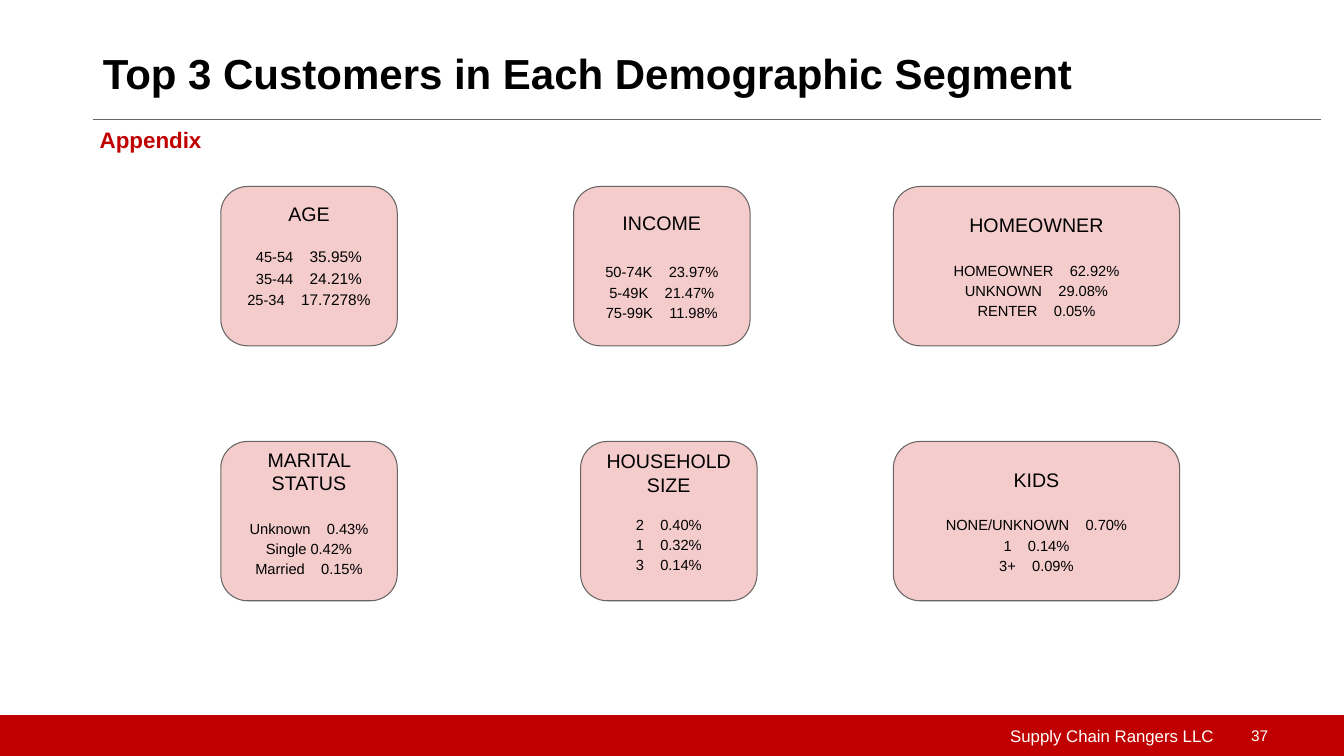
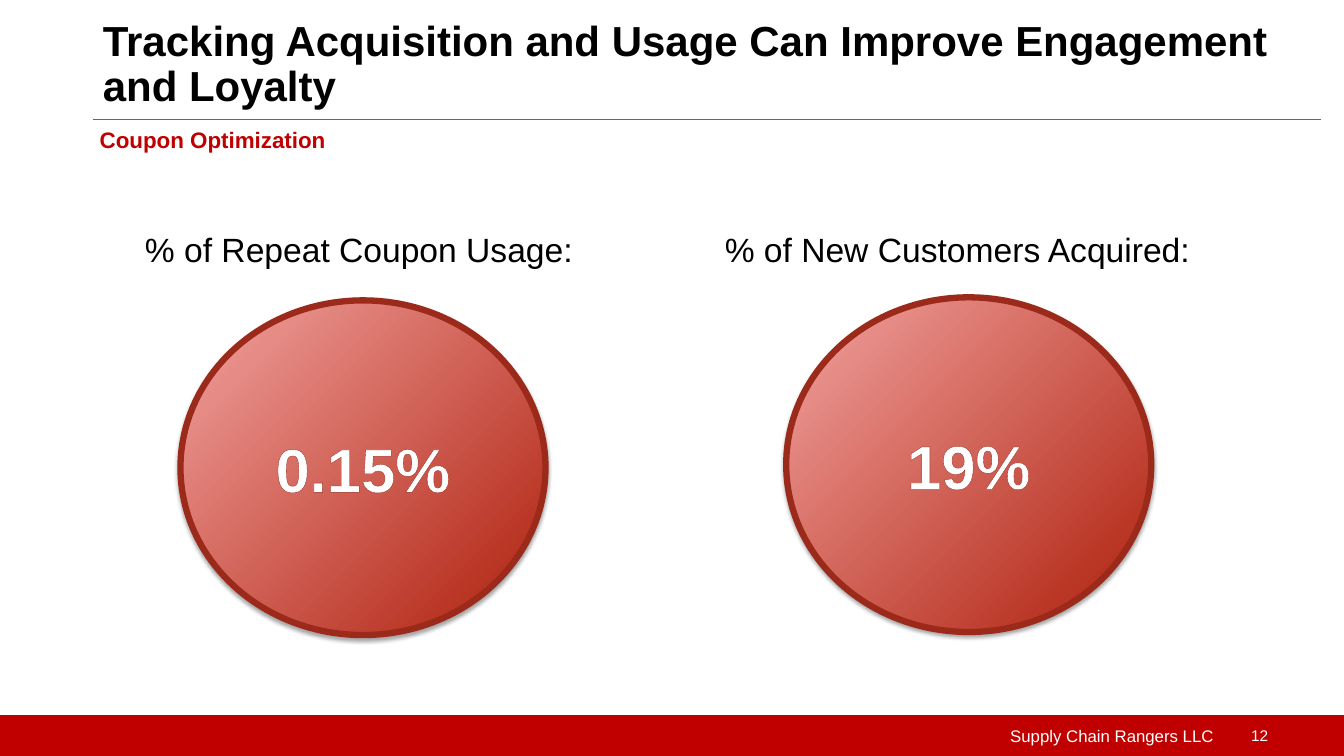
import pptx
import pptx.util
import pptx.dml.color
import pptx.enum.shapes
import pptx.enum.text
import pptx.oxml
import pptx.oxml.ns
from dataclasses import dataclass

Pt = pptx.util.Pt
Inches = pptx.util.Inches
Color = pptx.dml.color.RGBColor.from_string
Preset = pptx.enum.shapes.MSO_SHAPE
Align = pptx.enum.text.PP_ALIGN
Anchor = pptx.enum.text.MSO_ANCHOR
NAMESPACE = pptx.oxml.ns.nsdecls("a")


@dataclass(frozen=True)
class Theme:
    font: str = "Arial"
    black: str = "000000"
    white: str = "FFFFFF"
    red: str = "C00000"
    gray: str = "696464"
    pink: str = "F4CCCC"
    circle_dark: str = "AE1F0C"
    circle_light: str = "F2A3A0"
    circle_line: str = "9B2A1B"
    figure_outline: str = "9B2D1F"
    title: float = 30
    subtitle: float = 16
    footer: float = 12
    number: float = 11
    card_heading: float = 14
    card_row: float = 10.5
    label: float = 24
    figure: float = 44


theme = Theme()
presentation = pptx.Presentation()
presentation.slide_width = Inches(13.33)
presentation.slide_height = Inches(7.5)


def place(left, top, width, height):
    """Turn percentages of the slide into lengths."""
    across, down = presentation.slide_width / 100, presentation.slide_height / 100
    return [round(length) for length in (left * across, top * down, width * across, height * down)]


def write(shape, text, size, color, bold=False, align=Align.LEFT, anchor=Anchor.TOP, inset=0.1):
    """Set one formatted paragraph and return it."""
    frame = shape.text_frame
    frame.text = text
    frame.word_wrap = True
    frame.auto_size = pptx.enum.text.MSO_AUTO_SIZE.NONE
    frame.vertical_anchor = anchor
    frame.margin_left = frame.margin_right = Inches(0.1)
    frame.margin_top = frame.margin_bottom = Inches(inset)
    paragraph = frame.paragraphs[0]
    paragraph.alignment = align
    font = paragraph.runs[0].font
    font.name, font.size, font.bold = theme.font, Pt(size), bold
    font.color.rgb = Color(color)
    return paragraph


# Shared frame: band, footer, number, title, rule, subtitle
pages = [
    ("Top 3 Customers in Each Demographic Segment", "Appendix", "37", 1.33),
    ("Tracking Acquisition and Usage Can Improve Engagement and Loyalty",
     "Coupon Optimization", "12", 0),
]
slides = []
for title, subtitle, number, title_top in pages:
    slide = presentation.slides.add_slide(presentation.slide_layouts[5])
    slides.append(slide)

    band = slide.shapes.add_shape(Preset.RECTANGLE, *place(0, 94.67, 100, 5.33))
    band.shadow.inherit = False
    band.fill.solid()
    band.fill.fore_color.rgb = band.line.color.rgb = Color(theme.red)
    band.line.width = Pt(1)

    footer = slide.shapes.add_textbox(*place(58.66, 95.33, 32.4, 4.67))
    write(footer, "Supply Chain Rangers LLC", theme.footer, theme.white,
          align=Align.RIGHT, inset=0.05)
    number_box = slide.shapes.add_textbox(*place(92.35, 94.67, 4.35, 4))
    write(number_box, number, theme.number, theme.white)

    heading = slide.shapes.title
    heading.left, heading.top, heading.width, heading.height = place(6.9, title_top, 91.45, 17.33)
    paragraph = write(heading, title, theme.title, theme.black, bold=True,
                      anchor=Anchor.MIDDLE, inset=0.05)
    paragraph.line_spacing = 0.9

    left, top, width, height = place(6.9, 15.87, 91.37, 0)
    rule = slide.shapes.add_connector(
        pptx.enum.shapes.MSO_CONNECTOR.STRAIGHT, left, top, left + width, top)
    rule.line.color.rgb = Color(theme.gray)
    rule.line.width = Pt(0.75)
    rule._element.spPr.append(pptx.oxml.parse_xml(f"<a:effectLst {NAMESPACE}/>"))

    subtitle_box = slide.shapes.add_textbox(*place(6.68, 16, 50, 4.93))
    write(subtitle_box, subtitle, theme.subtitle, theme.red, bold=True, inset=0.05)

segment_slide, coupon_slide = slides

# Segment cards: left, top, width, heading, gap below heading, bottom inset, value size, rows
upper, lower = 24.67, 58.4
narrow, wide = 13.13, 21.3
cards = [
    (16.43, upper, narrow, "AGE", 14, 0.32, 11,
     [("45-54", "35.95%"), ("35-44", "24.21%"), ("25-34", "17.7278%")]),
    (42.68, upper, narrow, "INCOME", 18.5, 0.1, theme.card_row,
     [("50-74K", "23.97%"), ("5-49K", "21.47%"), ("75-99K", "11.98%")]),
    (66.47, upper, wide, "HOMEOWNER", 16, 0.1, theme.card_row,
     [("HOMEOWNER", "62.92%"), ("UNKNOWN", "29.08%"), ("RENTER", "0.05%")]),
    (16.43, lower, narrow, "MARITAL STATUS", 16, 0.27, theme.card_row,
     [("Unknown", "0.43%"), ("Single 0.42%",), ("Married", "0.15%")]),
    (43.2, lower, narrow, "HOUSEHOLD SIZE", 12, 0.29, theme.card_row,
     [("2", "0.40%"), ("1", "0.32%"), ("3", "0.14%")]),
    (66.47, lower, wide, "KIDS", 16, 0.1, theme.card_row,
     [("NONE/UNKNOWN", "0.70%"), ("1", "0.14%"), ("3+", "0.09%")]),
]
for left, top, width, name, gap, bottom_inset, value_size, rows in cards:
    card = segment_slide.shapes.add_shape(
        Preset.FLOWCHART_ALTERNATE_PROCESS, *place(left, top, width, 21.07))
    card.shadow.inherit = False
    card.fill.solid()
    card.fill.fore_color.rgb = Color(theme.pink)
    card.line.color.rgb = Color(theme.gray)
    card.line.width = Pt(0.75)
    paragraph = write(card, name, theme.card_heading, theme.black,
                      align=Align.CENTER, anchor=Anchor.MIDDLE)
    paragraph.space_after = Pt(gap)
    card.text_frame.margin_bottom = Inches(bottom_inset)

    for row in rows:
        paragraph = card.text_frame.add_paragraph()
        paragraph.alignment = Align.CENTER
        paragraph.line_spacing = 1.15
        paragraph.font.name = theme.font
        pieces = [row[0]] if len(row) == 1 else [row[0], " ", row[1]]
        for piece in pieces:
            run = paragraph.add_run()
            run.text = piece
            run.font.name = theme.font
            run.font.size = Pt(value_size if piece == row[-1] else theme.card_row)
            run.font.color.rgb = Color(theme.black)
            if piece == " ":
                # Wide letter spacing sets the value apart from its name
                run.font._element.set("spc", "875")

# Coupon figures: label box, circle position, value
figures = [
    ("% of Repeat Coupon Usage:", 10.05, 33.83, 13.43, 39.73, "0.15%"),
    ("% of New Customers Acquired:", 53.19, 38.03, 58.5, 39.33, "19%"),
]
for label, label_left, label_width, circle_left, circle_top, value in figures:
    label_box = coupon_slide.shapes.add_textbox(*place(label_left, 28.93, label_width, 8.13))
    write(label_box, label, theme.label, theme.black)

    circle = coupon_slide.shapes.add_shape(
        Preset.OVAL, *place(circle_left, circle_top, 27.16, 44.27))
    circle.fill.gradient()
    circle.fill.gradient_angle = 135
    for stop, color in zip(circle.fill.gradient_stops, (theme.circle_dark, theme.circle_light)):
        stop.color.rgb = Color(color)
    circle.line.color.rgb = Color(theme.circle_line)
    circle.line.width = Pt(4.5)

    # Soft shadow below the circle
    circle.shadow.inherit = False
    effects = circle._element.spPr.find(pptx.oxml.ns.qn("a:effectLst"))
    effects.append(pptx.oxml.parse_xml(
        f'<a:outerShdw {NAMESPACE} blurRad="{Pt(3.1)}" dist="{Pt(1.8)}" dir="5400000" '
        f'rotWithShape="0"><a:srgbClr val="{theme.black}"><a:alpha val="35000"/>'
        f'</a:srgbClr></a:outerShdw>'))

    # Value with a thin outline
    paragraph = write(circle, value, theme.figure, theme.white, bold=True,
                      align=Align.CENTER, anchor=Anchor.MIDDLE)
    paragraph.runs[0].font._element.insert(0, pptx.oxml.parse_xml(
        f'<a:ln {NAMESPACE} w="{Pt(0.52)}"><a:solidFill>'
        f'<a:srgbClr val="{theme.figure_outline}"/></a:solidFill></a:ln>'))

presentation.save("out.pptx")
